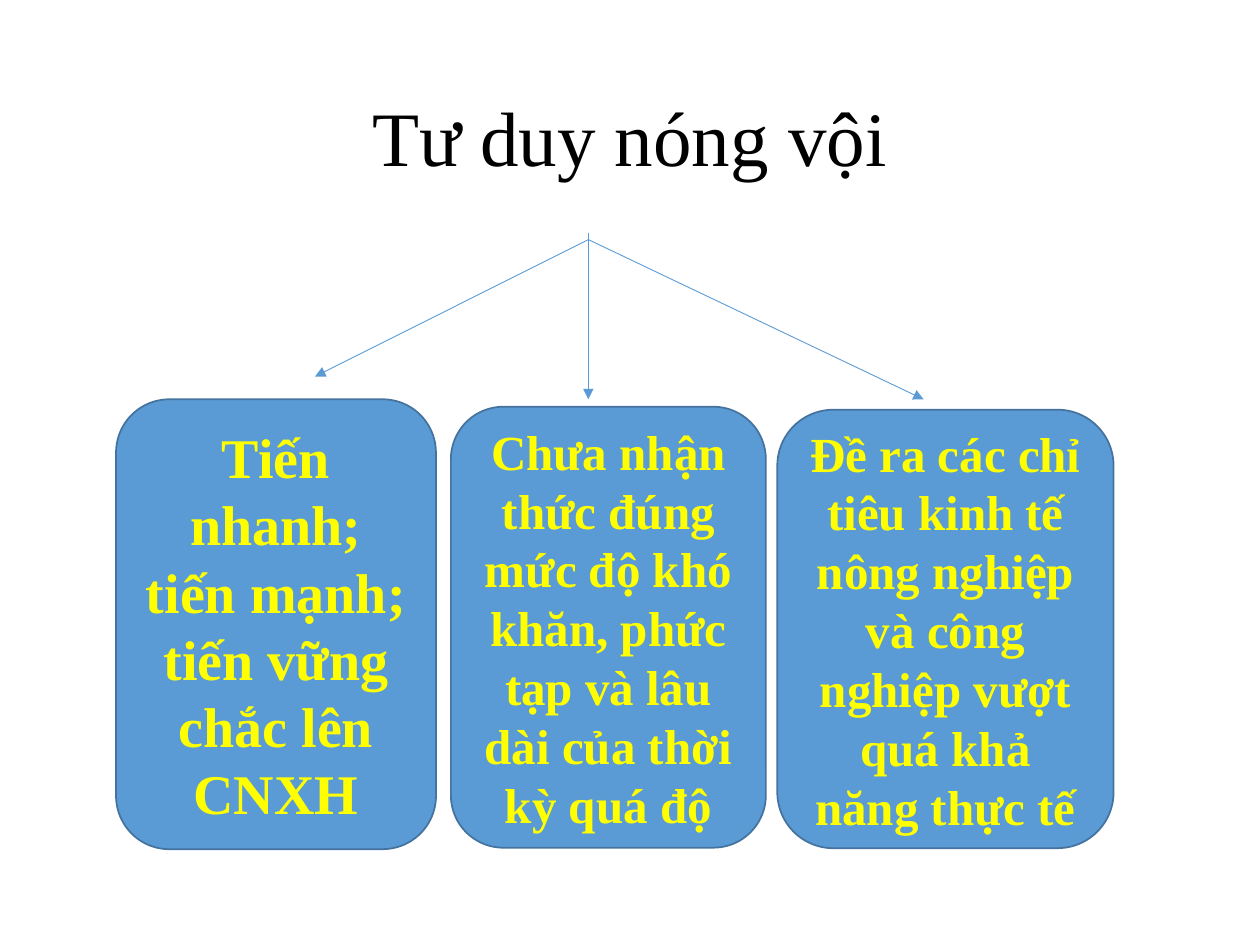
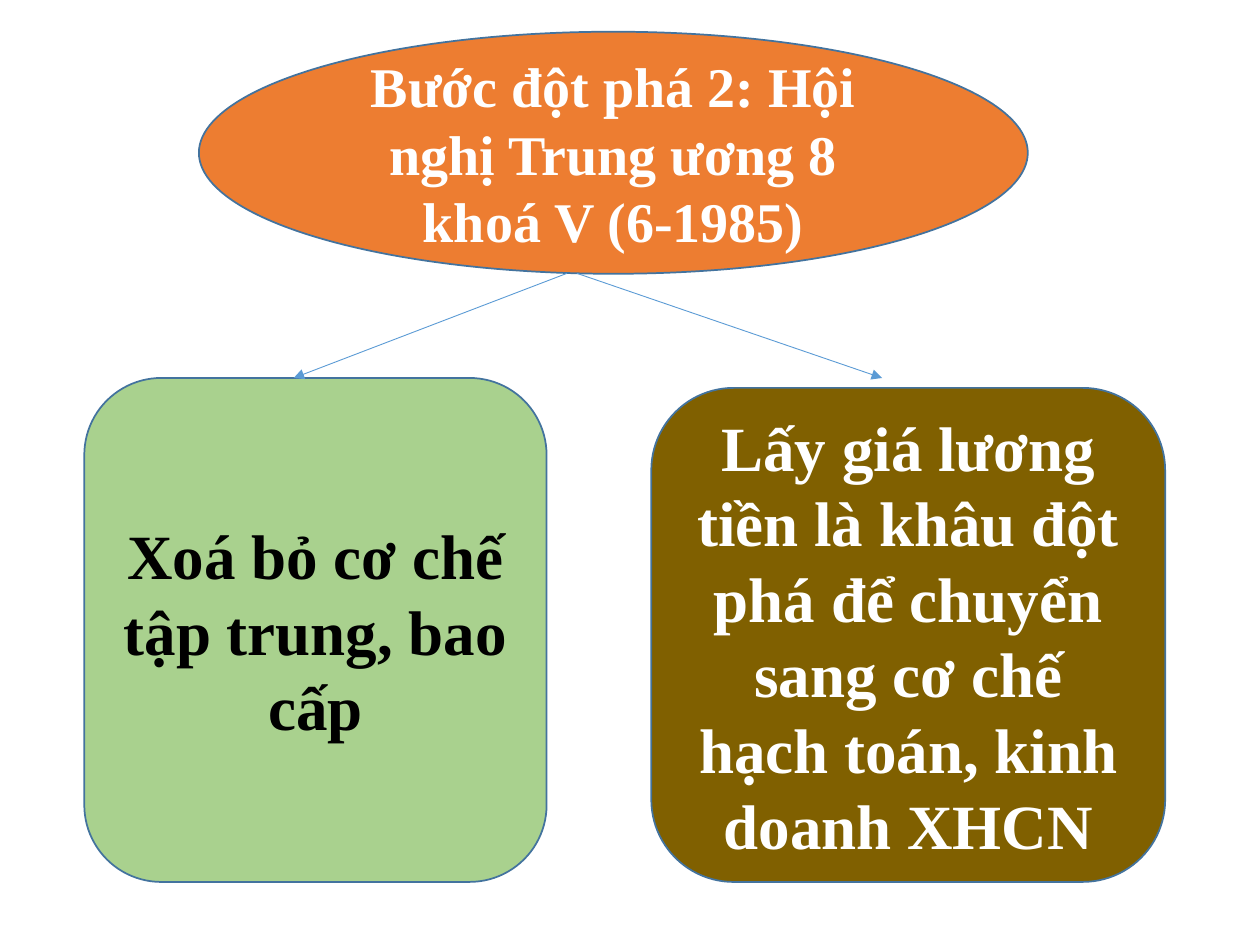
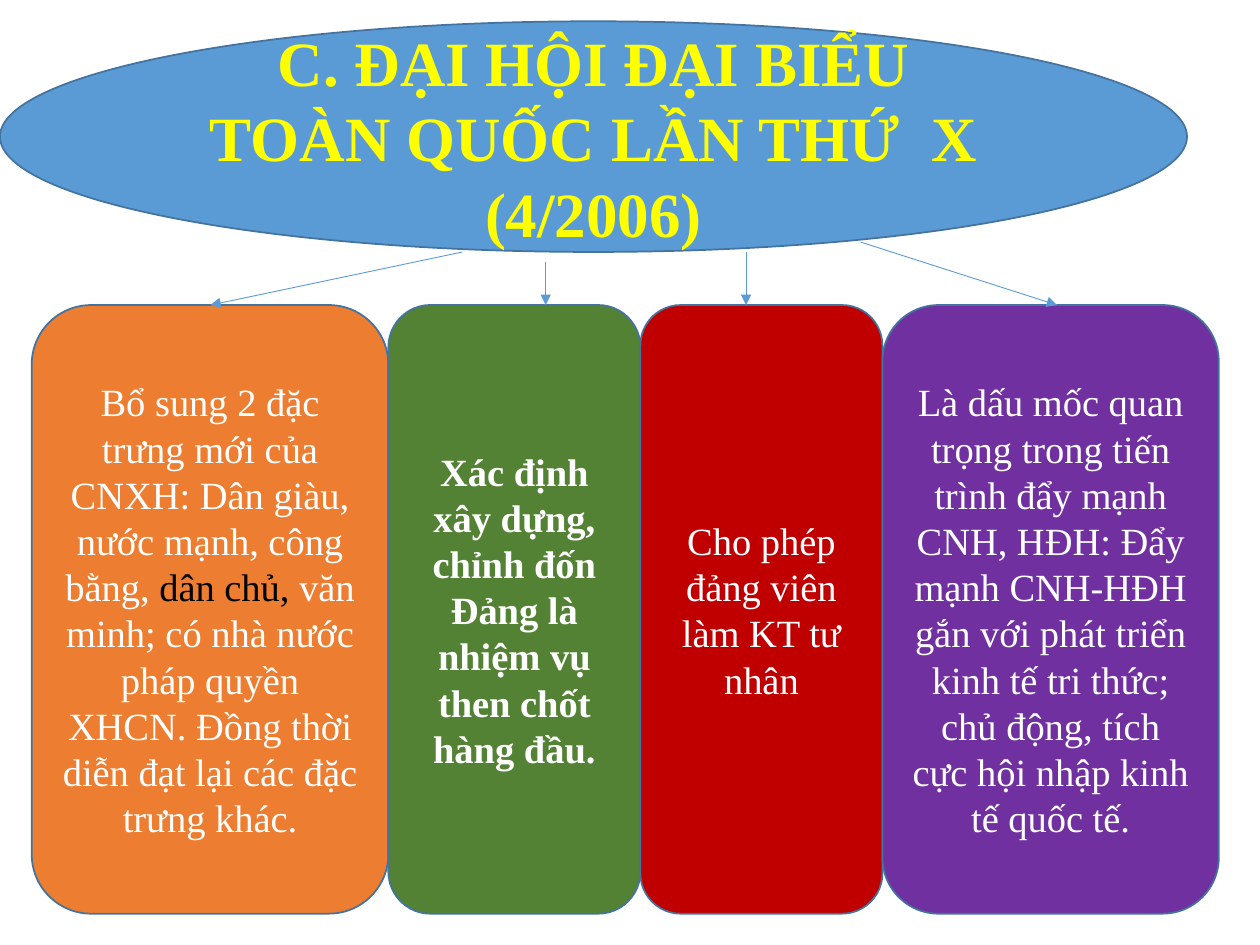
from dataclasses import dataclass

from lxml.etree import SubElement
from pptx import Presentation
from pptx.dml.color import RGBColor
from pptx.enum.shapes import MSO_CONNECTOR, MSO_SHAPE
from pptx.enum.text import MSO_ANCHOR, PP_ALIGN
from pptx.oxml.ns import qn
from pptx.slide import Slide
from pptx.text.text import TextFrame
from pptx.util import Cm, Pt

FONT = "Times New Roman"
BLACK = RGBColor(0x00, 0x00, 0x00)
WHITE = RGBColor(0xFF, 0xFF, 0xFF)
YELLOW = RGBColor(0xFF, 0xFF, 0x00)
BLUE = RGBColor(0x5B, 0x9B, 0xD5)
OUTLINE = RGBColor(0x43, 0x73, 0x9E)
ORANGE = RGBColor(0xED, 0x7D, 0x31)
LIGHT_GREEN = RGBColor(0xA9, 0xD1, 0x8E)
GREEN = RGBColor(0x54, 0x82, 0x35)
BROWN = RGBColor(0x80, 0x60, 0x00)
RED = RGBColor(0xC0, 0x00, 0x00)
PURPLE = RGBColor(0x70, 0x30, 0xA0)

ACCENT_MARK = "|"


@dataclass(frozen=True)
class Box:
    left: float
    top: float
    width: float
    height: float
    text: str
    size: int
    fill: RGBColor = BLUE
    color: RGBColor = WHITE
    bold: bool = True
    kind: MSO_SHAPE = MSO_SHAPE.ROUNDED_RECTANGLE

    def place(self) -> tuple[Cm, Cm, Cm, Cm]:
        return Cm(self.left), Cm(self.top), Cm(self.width), Cm(self.height)


@dataclass(frozen=True)
class Arrow:
    x1: float
    y1: float
    x2: float
    y2: float


@dataclass(frozen=True)
class Column:
    width: float
    text: str
    fill: RGBColor
    bold: bool = False


TITLE = Box(1.75, 1.02, 21.89, 3.68, "Tư duy nóng vội", 44, color=BLACK, bold=False)

HASTE_BOXES = [
    Box(2.34, 8.05, 6.45, 9.07, "Tiến nhanh; tiến mạnh; tiến vững chắc lên CNXH", 32, color=YELLOW),
    Box(9.09, 8.2, 6.35, 8.89,
        "Chưa nhận thức đúng mức độ khó khăn, phức tạp và lâu dài của thời kỳ quá độ",
        28, color=YELLOW),
    Box(15.67, 8.26, 6.78, 8.84,
        "Đề ra các chỉ tiêu kinh tế nông nghiệp và công nghiệp vượt quá khả năng thực tế",
        28, color=YELLOW),
]
HASTE_ARROWS = [
    Arrow(11.86, 4.83, 6.35, 7.59),
    Arrow(11.86, 4.7, 11.86, 8.05),
    Arrow(11.86, 4.83, 18.62, 8.05),
]

BREAKTHROUGH_BOXES = [
    Box(4.01, 0.64, 16.71, 4.88, "Bước đột phá 2: Hội nghị Trung ương 8 khoá V (6-1985)",
        32, ORANGE, kind=MSO_SHAPE.OVAL),
    Box(1.7, 7.62, 9.32, 10.16, "Xoá bỏ cơ chế tập trung, bao cấp", 36, LIGHT_GREEN, BLACK),
    Box(13.13, 7.82, 10.36, 9.96,
        "Lấy giá lương tiền là khâu đột phá để chuyển sang cơ chế hạch toán, kinh doanh XHCN",
        36, BROWN),
]
BREAKTHROUGH_ARROWS = [
    Arrow(11.43, 5.51, 5.92, 7.62),
    Arrow(11.63, 5.51, 17.78, 7.62),
]

CONGRESS = Box(0, 0.43, 23.93, 4.65, "C. ĐẠI HỘI ĐẠI BIỂU TOÀN QUỐC LẦN THỨ  X (4/2006)",
               36, color=YELLOW, kind=MSO_SHAPE.OVAL)
COLUMNS_LEFT, COLUMNS_TOP, COLUMNS_HEIGHT = 0.64, 6.15, 12.27
CONGRESS_COLUMNS = [
    Column(7.19, "Bổ sung 2 đặc trưng mới của CNXH: Dân giàu, nước mạnh, công bằng, "
                 "|dân chủ, |văn minh; có nhà nước pháp quyền XHCN. "
                 "Đồng thời diễn đạt lại các đặc trưng khác.", ORANGE),
    Column(5.08, "Xác định xây dựng, chỉnh đốn Đảng là nhiệm vụ then chốt hàng đầu.", GREEN, True),
    Column(4.88, "Cho phép đảng viên làm KT tư nhân", RED),
    Column(6.78, "Là dấu mốc quan trọng trong tiến trình đẩy mạnh CNH, HĐH: "
                 "Đẩy mạnh CNH-HĐH gắn với phát triển kinh tế tri thức; "
                 "chủ động, tích cực hội nhập kinh tế quốc tế.", PURPLE),
]
CONGRESS_ARROWS = [
    Arrow(9.32, 5.08, 4.24, COLUMNS_TOP),
    Arrow(11, 5.28, 11, COLUMNS_TOP),
    Arrow(15.04, 5.08, 15.04, COLUMNS_TOP),
    Arrow(17.35, 4.88, 21.31, COLUMNS_TOP),
]


def write_text(tf: TextFrame, box: Box) -> None:
    tf.word_wrap = True
    tf.vertical_anchor = MSO_ANCHOR.MIDDLE
    p = tf.paragraphs[0]
    p.alignment = PP_ALIGN.CENTER
    p.font.name = FONT
    p.font.size = Pt(box.size)
    p.font.bold = box.bold
    p.font.color.rgb = box.color
    for i, part in enumerate(box.text.split(ACCENT_MARK)):
        r = p.add_run()
        r.text = part
        if i % 2:
            r.font.color.rgb = BLACK


def add_title(s: Slide, box: Box) -> None:
    tf = s.shapes.add_textbox(*box.place()).text_frame
    write_text(tf, box)
    tf.paragraphs[0].line_spacing = 0.9


def add_box(s: Slide, box: Box) -> None:
    sp = s.shapes.add_shape(box.kind, *box.place())
    sp.shadow.inherit = False
    sp.fill.solid()
    sp.fill.fore_color.rgb = box.fill
    sp.line.color.rgb = OUTLINE
    sp.line.width = Pt(1)
    write_text(sp.text_frame, box)


def add_arrow(s: Slide, arrow: Arrow) -> None:
    cxn = s.shapes.add_connector(MSO_CONNECTOR.STRAIGHT, Cm(arrow.x1), Cm(arrow.y1),
                                 Cm(arrow.x2), Cm(arrow.y2))
    cxn.line.color.rgb = BLUE
    cxn.line.width = Pt(0.5)
    SubElement(cxn.line._get_or_add_ln(), qn("a:tailEnd"), type="triangle")
    SubElement(cxn._element.spPr, qn("a:effectLst"))


def congress_boxes() -> list[Box]:
    boxes = [CONGRESS]
    left = COLUMNS_LEFT
    for col in CONGRESS_COLUMNS:
        boxes.append(Box(left, COLUMNS_TOP, col.width, COLUMNS_HEIGHT, col.text, 22,
                         col.fill, bold=col.bold))
        left += col.width
    return boxes


def add_diagram(prs: Presentation, boxes: list[Box], arrows: list[Arrow]) -> Slide:
    s = prs.slides.add_slide(prs.slide_layouts[6])
    for box in boxes:
        add_box(s, box)
    for arrow in arrows:
        add_arrow(s, arrow)
    return s


def main() -> None:
    prs = Presentation()
    prs.slide_width, prs.slide_height = Cm(25.4), Cm(19.05)
    s = add_diagram(prs, HASTE_BOXES, HASTE_ARROWS)
    add_title(s, TITLE)
    add_diagram(prs, BREAKTHROUGH_BOXES, BREAKTHROUGH_ARROWS)
    add_diagram(prs, congress_boxes(), CONGRESS_ARROWS)
    prs.save("out.pptx")


if __name__ == "__main__":
    main()
